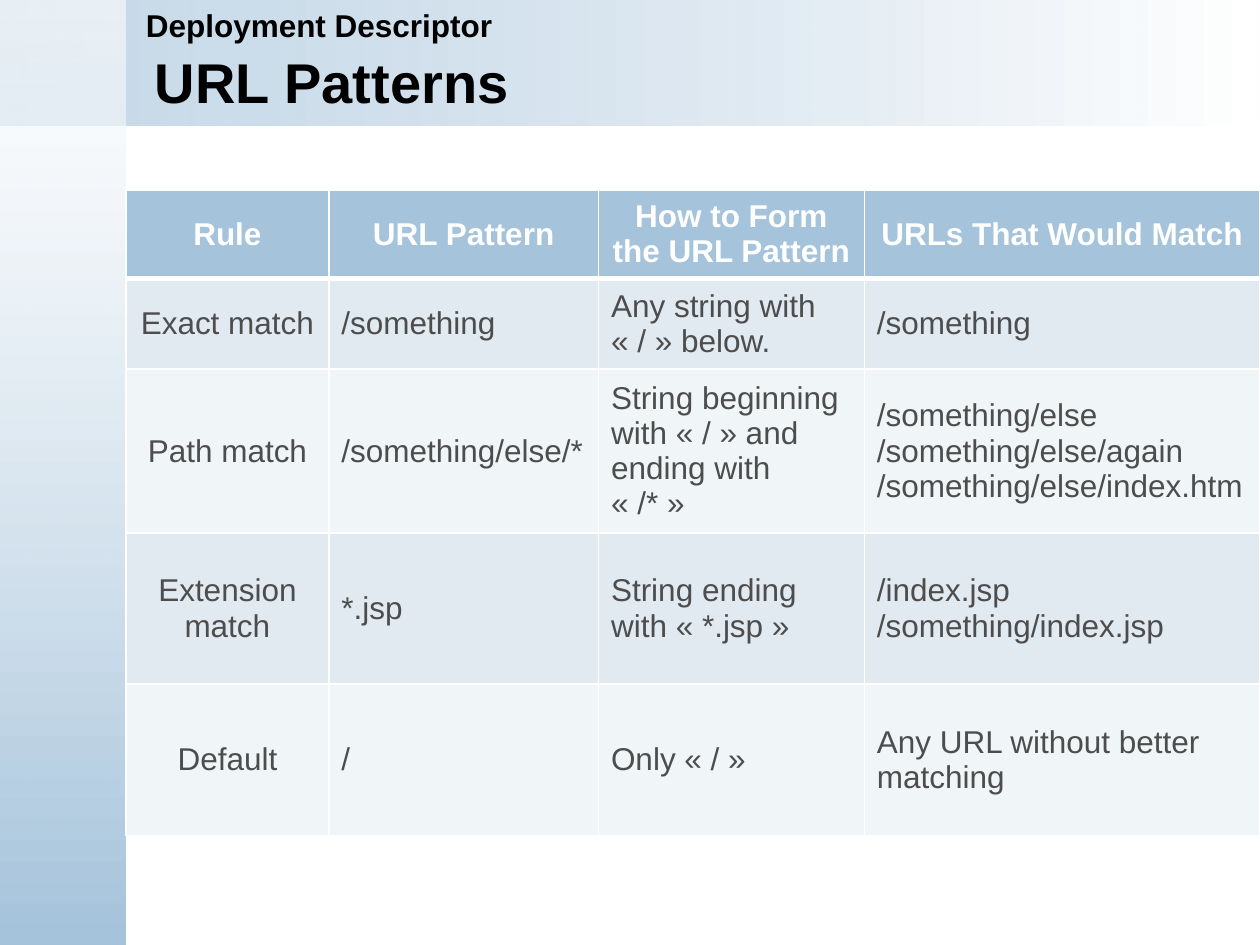
from typing import NamedTuple

import pptx
import pptx.dml.color
import pptx.enum.shapes
import pptx.enum.text
import pptx.oxml.ns
import pptx.util
from lxml import etree

Inches = pptx.util.Inches
Pt = pptx.util.Pt
qn = pptx.oxml.ns.qn
PP_ALIGN = pptx.enum.text.PP_ALIGN
ANCHOR = pptx.enum.text.MSO_ANCHOR

BLUE, WHITE, BLACK, GREY = "A5C3DB", "FFFFFF", "000000", "4D4D4D"
ROW_FILLS = ("E1E9F1", "F0F5F8")
FONT = "Arial"


class Stop(NamedTuple):
    colour: str
    opacity: int = 100


class Band(NamedTuple):
    width: float
    height: float
    angle: int
    stops: tuple[Stop, Stop]


class Heading(NamedTuple):
    text: str
    left: float
    top: float
    width: float
    height: float
    size: int


class Row(NamedTuple):
    height: float
    cells: tuple[str, ...]


BANDS = (
    Band(10, 1, 0, (Stop(BLUE, 62), Stop(WHITE))),
    Band(1, 7.5, 270, (Stop(WHITE, 59), Stop(BLUE))),
)
HEADINGS = (
    Heading("URL Patterns", 1.13, 0.36, 8.45, 0.57, 32),
    Heading("Deployment Descriptor", 1.06, 0, 8.94, 0.4, 18),
)
COLUMN_WIDTHS = (1.61, 2.14, 2.11, 3.14)
ROWS = (
    Row(0.69, ("Rule", "URL Pattern", "How to Form the URL Pattern",
               "URLs That Would Match")),
    Row(0.72, ("Exact match", "/something", "Any string with « / » below.",
               "/something")),
    Row(1.3, ("Path match", "/something/else/*",
              "String beginning with « / » and ending with\n« /* »",
              "/something/else\n/something/else/again\n/something/else/index.htm")),
    Row(1.2, ("Extension match", "*.jsp", "String ending with « *.jsp »",
              "/index.jsp\n/something/index.jsp")),
    Row(1.2, ("Default", "/", "Only « / »", "Any URL without better matching")),
)


def rgb(colour: str) -> pptx.dml.color.RGBColor:
    return pptx.dml.color.RGBColor.from_string(colour)


def write(frame, text: str, size: int, colour: str, bold: bool,
          align=PP_ALIGN.LEFT) -> None:
    """Write each line of text as one paragraph."""
    frame.word_wrap = True
    for number, line in enumerate(text.split("\n")):
        para = frame.add_paragraph() if number else frame.paragraphs[0]
        para.alignment = align
        span = para.add_run()
        span.text = line
        span.font.name = FONT
        span.font.size = Pt(size)
        span.font.bold = bold
        span.font.color.rgb = rgb(colour)


def draw_band(page, band: Band) -> None:
    box = page.shapes.add_shape(
        pptx.enum.shapes.MSO_SHAPE.RECTANGLE, 0, 0,
        Inches(band.width), Inches(band.height))
    box.shadow.inherit = False
    box.line.fill.background()
    box.fill.gradient()
    box.fill.gradient_angle = band.angle
    for position, (mark, stop) in enumerate(zip(box.fill.gradient_stops, band.stops)):
        mark.position = position
        mark.color.rgb = rgb(stop.colour)
    for node, stop in zip(box.element.iter(qn("a:srgbClr")), band.stops):
        if stop.opacity < 100:
            etree.SubElement(node, qn("a:alpha"), val=str(stop.opacity * 1000))


def draw_heading(page, heading: Heading) -> None:
    box = page.shapes.add_textbox(
        Inches(heading.left), Inches(heading.top),
        Inches(heading.width), Inches(heading.height))
    box.text_frame.vertical_anchor = ANCHOR.MIDDLE
    write(box.text_frame, heading.text, heading.size, BLACK, True)


def add_borders(cell, top: int, bottom: int) -> None:
    """Give a cell white borders; call before filling it, as the XML order matters."""
    properties = cell._tc.get_or_add_tcPr()
    for side, width in (("L", 1), ("R", 1), ("T", top), ("B", bottom)):
        line = etree.SubElement(properties, qn(f"a:ln{side}"), w=str(Pt(width)))
        fill = etree.SubElement(line, qn("a:solidFill"))
        etree.SubElement(fill, qn("a:srgbClr"), val=WHITE)


def draw_table(page, left: float, top: float) -> None:
    table = page.shapes.add_table(
        len(ROWS), len(COLUMN_WIDTHS), Inches(left), Inches(top),
        Inches(sum(COLUMN_WIDTHS)), Inches(sum(row.height for row in ROWS))).table
    for column, width in zip(table.columns, COLUMN_WIDTHS):
        column.width = Inches(width)
    for r, row in enumerate(ROWS):
        table.rows[r].height = Inches(row.height)
        header = r == 0
        for c, text in enumerate(row.cells):
            cell = table.cell(r, c)
            add_borders(cell, top=3 if r == 1 else 1, bottom=3 if header else 1)
            cell.fill.solid()
            cell.fill.fore_color.rgb = rgb(BLUE if header else ROW_FILLS[(r - 1) % 2])
            cell.vertical_anchor = ANCHOR.MIDDLE
            centred = header or c == 0
            write(cell.text_frame, text, 18, WHITE if header else GREY, header,
                  PP_ALIGN.CENTER if centred else PP_ALIGN.LEFT)


def main() -> None:
    deck = pptx.Presentation()
    deck.slide_width, deck.slide_height = Inches(10), Inches(7.5)
    page = deck.slides.add_slide(deck.slide_layouts[6])
    for band in BANDS:
        draw_band(page, band)
    for heading in HEADINGS:
        draw_heading(page, heading)
    draw_table(page, 1, 1.51)
    deck.save("out.pptx")


if __name__ == "__main__":
    main()
